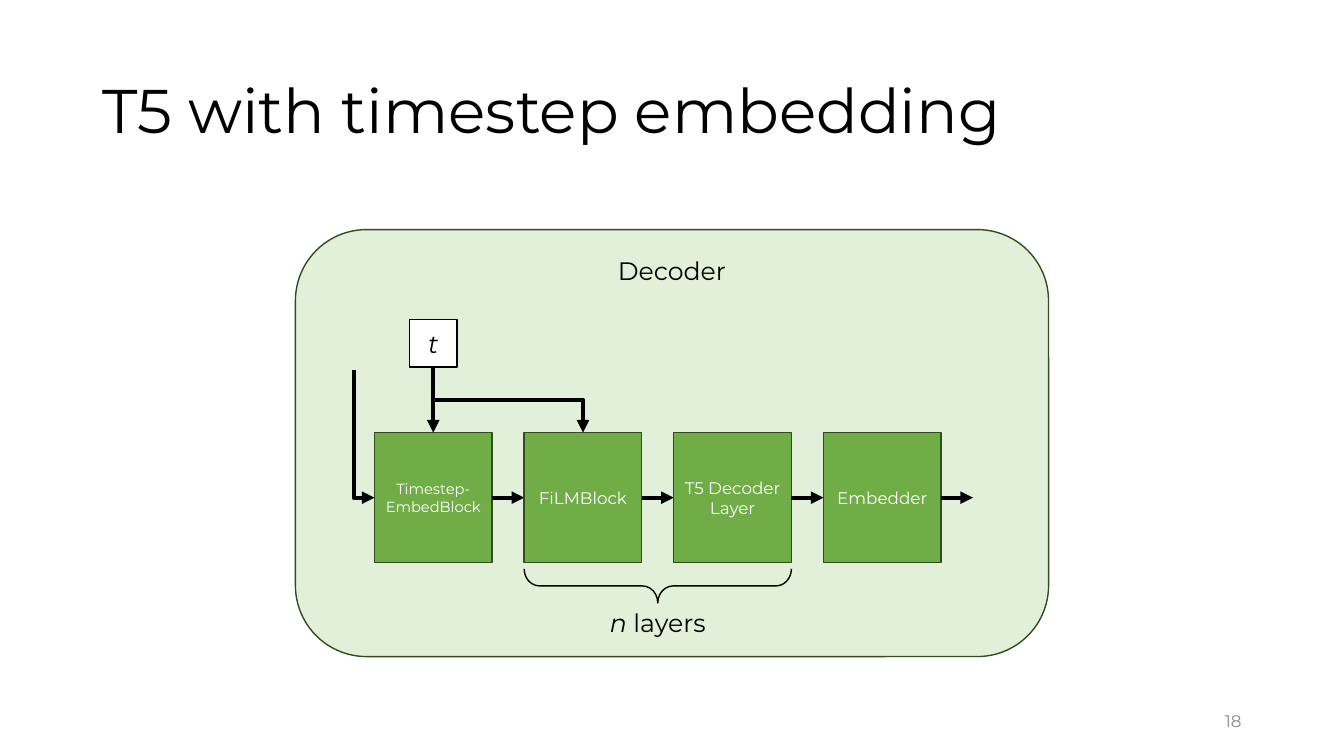
"""Builds the slide on the T5 decoder with timestep embedding."""
from lxml.etree import SubElement
from pptx import Presentation
from pptx.dml.color import RGBColor
from pptx.enum.shapes import MSO_CONNECTOR, MSO_SHAPE
from pptx.enum.text import MSO_ANCHOR, PP_ALIGN
from pptx.oxml.ns import qn
from pptx.util import Pt

BLACK = RGBColor(0x00, 0x00, 0x00)
WHITE = RGBColor(0xFF, 0xFF, 0xFF)
GRAY = RGBColor(0x8C, 0x8C, 0x8C)
GREEN = RGBColor(0x70, 0xAD, 0x47)
DARK_GREEN = RGBColor(0x31, 0x4C, 0x1F)
PALE_GREEN = RGBColor(0xE2, 0xF0, 0xD9)

BLOCK_LEFT, BLOCK_TOP, BLOCK_W, BLOCK_H = 267.5, 309, 84, 93
PITCH = 106.9
MID_Y = BLOCK_TOP + BLOCK_H / 2

prs = Presentation()
prs.slide_width, prs.slide_height = Pt(960), Pt(540)
s = prs.slides.add_slide(prs.slide_layouts[6])


def add_text(text, left, top, width, height, shape=None, fill=None, line=BLACK, size=18,
             color=BLACK, align=PP_ALIGN.CENTER, anchor=MSO_ANCHOR.MIDDLE, italic="", spacing=None):
    box = [Pt(v) for v in (left, top, width, height)]
    if shape is None:
        sp = s.shapes.add_textbox(*box)
    else:
        sp = s.shapes.add_shape(shape, *box)
        sp.shadow.inherit = False
        sp.fill.solid()
        sp.fill.fore_color.rgb = fill
        sp.line.color.rgb = line
        sp.line.width = Pt(1)
    tf = sp.text_frame
    tf.word_wrap = True
    tf.vertical_anchor = anchor
    p = tf.paragraphs[0]
    p.alignment = align
    p.line_spacing = spacing
    for part, slanted in ((italic, True), (text, False)):
        if part:
            r = p.add_run()
            r.text = part
            r.font.name, r.font.size, r.font.italic = "Montserrat", Pt(size), slanted
            r.font.color.rgb = color


def add_arrow(x1, y1, x2, y2, kind=MSO_CONNECTOR.STRAIGHT):
    c = s.shapes.add_connector(kind, Pt(x1), Pt(y1), Pt(x2), Pt(y2))
    c.line.color.rgb = BLACK
    c.line.width = Pt(3)
    SubElement(c.line._get_or_add_ln(), qn("a:tailEnd"), type="triangle")
    SubElement(c._element.spPr, qn("a:effectLst"))
    return c


add_text("T5 with timestep embedding", 66, 28.75, 828, 104.4, size=44,
         align=PP_ALIGN.LEFT, spacing=0.9)
add_text("Decoder", 211, 164, 538, 305, shape=MSO_SHAPE.ROUNDED_RECTANGLE,
         fill=PALE_GREEN, line=DARK_GREEN, anchor=MSO_ANCHOR.TOP)

blocks = [("Timestep-EmbedBlock", 10.5), ("FiLMBlock", 12), ("T5 Decoder Layer", 12), ("Embedder", 12)]
for i, (name, size) in enumerate(blocks):
    left = BLOCK_LEFT + i * PITCH
    add_text(name, left, BLOCK_TOP, BLOCK_W, BLOCK_H, shape=MSO_SHAPE.RECTANGLE,
             fill=GREEN, line=DARK_GREEN, size=size, color=WHITE)
    add_arrow(left + BLOCK_W, MID_Y, left + PITCH, MID_Y)

t_x, t_bottom = BLOCK_LEFT + BLOCK_W / 2, 262.2
add_text("", t_x - 17, t_bottom - 34, 34, 34, shape=MSO_SHAPE.RECTANGLE, fill=WHITE, italic="t")
add_arrow(t_x, t_bottom, t_x, BLOCK_TOP)

elbows = [("bentConnector3", t_x, t_bottom, t_x + PITCH, BLOCK_TOP),
          ("bentConnector2", 252.7, 264, BLOCK_LEFT, MID_Y)]
for geometry, x1, y1, x2, y2 in elbows:
    mid_x, mid_y = (x1 + x2) / 2, (y1 + y2) / 2
    half_w, half_h = (y2 - y1) / 2, (x2 - x1) / 2
    c = add_arrow(mid_x + half_w, mid_y - half_h, mid_x - half_w, mid_y + half_h, MSO_CONNECTOR.ELBOW)
    c._element.spPr.find(qn("a:xfrm")).set("rot", "16200000")
    c._element.spPr.find(qn("a:prstGeom")).set("prst", geometry)

brace_w, brace_h = 24.4, PITCH + BLOCK_W
brace_x, brace_y = BLOCK_LEFT + PITCH + brace_h / 2, 418.5
brace = s.shapes.add_shape(MSO_SHAPE.LEFT_BRACE, Pt(brace_x - brace_w / 2),
                           Pt(brace_y - brace_h / 2), Pt(brace_w), Pt(brace_h))
brace.rotation = 270
brace.adjustments[0] = 0.45
brace.shadow.inherit = False
brace.fill.background()
brace.line.color.rgb = BLACK
brace.line.width = Pt(1)
add_text("layers", brace_x - 45, 430, 90, 29, italic="n ", anchor=MSO_ANCHOR.TOP)

add_text("18", 678, 500.5, 216, 28.75, size=12, color=GRAY, align=PP_ALIGN.RIGHT)

prs.save("out.pptx")
